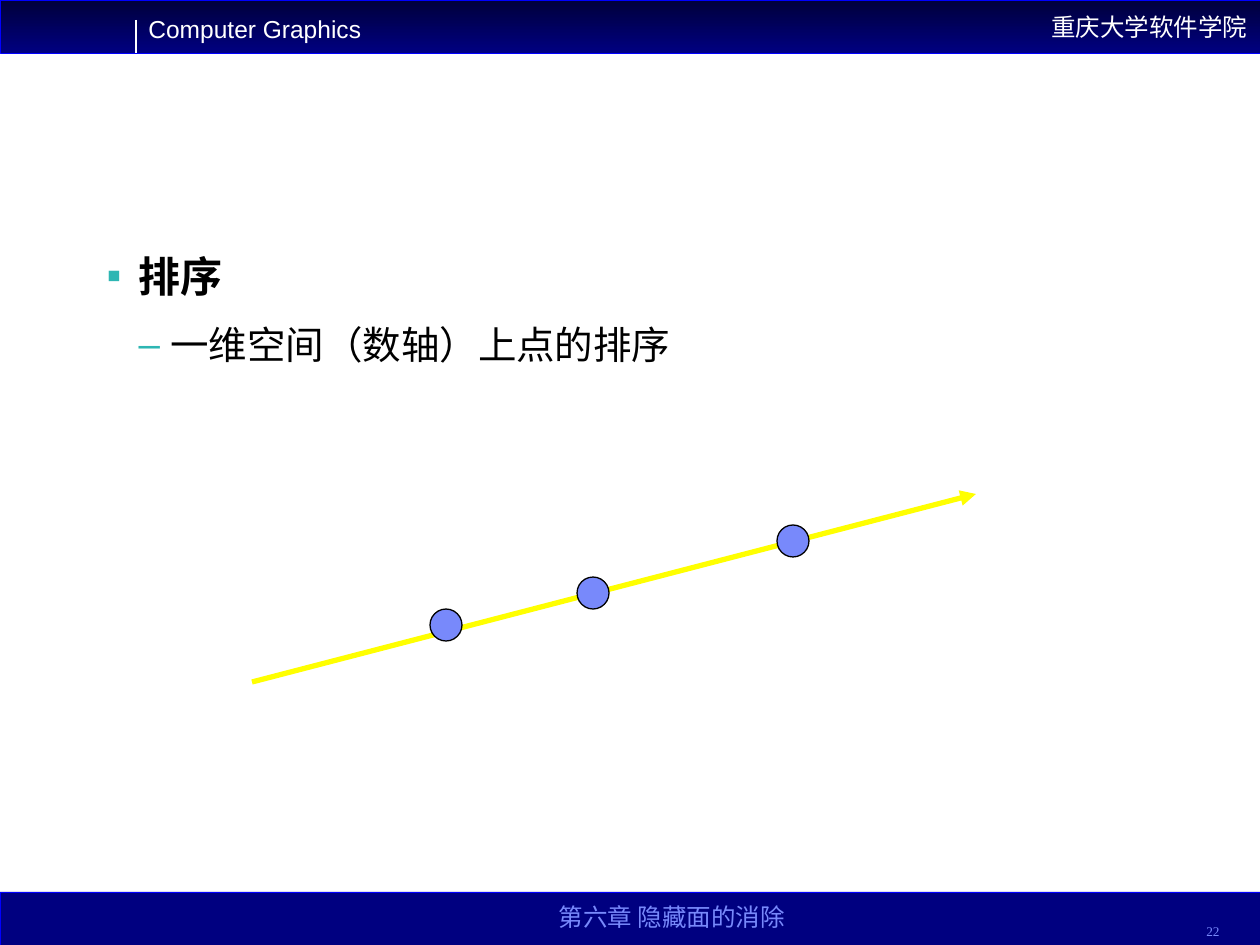
from lxml import etree
from pptx import Presentation
from pptx.dml.color import RGBColor
from pptx.enum.shapes import MSO_CONNECTOR, MSO_SHAPE
from pptx.enum.text import MSO_ANCHOR, PP_ALIGN
from pptx.oxml.ns import qn
from pptx.util import Pt

LINE = MSO_CONNECTOR.STRAIGHT
RECT, OVAL = MSO_SHAPE.RECTANGLE, MSO_SHAPE.OVAL
TOP, MIDDLE, BOTTOM = MSO_ANCHOR.TOP, MSO_ANCHOR.MIDDLE, MSO_ANCHOR.BOTTOM
LEFT, CENTER, RIGHT = PP_ALIGN.LEFT, PP_ALIGN.CENTER, PP_ALIGN.RIGHT

WHITE = RGBColor(0xFF, 0xFF, 0xFF)
BLACK = RGBColor(0, 0, 0)
DARK = RGBColor(0, 0, 0x3B)
NAVY = RGBColor(0, 0, 0x80)
BLUE = RGBColor(0, 0, 0xFF)
PERI = RGBColor(0x78, 0x89, 0xFB)
TEAL = RGBColor(0x2D, 0xB6, 0xB3)
YELLOW = RGBColor(0xFF, 0xFF, 0)

WIDE, HIGH, BAR, DOT = 1260, 945, 53, 32
SCALE = 914400 / 126

LABELS = [
    ("Computer Graphics", (136, 8, 238, 43), "Arial", 14, WHITE, LEFT, TOP),
    ("第六章 隐藏面的消除", (472, 890, 400, 48), "Times New Roman", 14, PERI, CENTER, BOTTOM),
    ("22", (1106, 897, 126, 48), "Times New Roman", 7.6, PERI, RIGHT, BOTTOM),
]
SCHOOL = "重庆大学软件学院"
POINTS = [
    ("排序", "▪", 24, True, 0, 4.5),
    ("一维空间（数轴）上点的排序", "–", 22, False, 6.9, 4.1),
]
BODY = (94, 244, 1071, 538)
INDENT = 32
AXIS = (252, 682, 976, 494)
DOTS = [(446, 625), (593, 593), (793, 541)]


def px(*nums):
    return [round(n * SCALE) for n in nums]


def add_shape(kind, box, fill, edge, width):
    shape = slide.shapes.add_shape(kind, *px(*box))
    shape.shadow.inherit = False
    shape.fill.solid()
    shape.fill.fore_color.rgb = fill
    shape.line.color.rgb = edge
    shape.line.width = Pt(width)
    return shape


def add_line(ends, color, width):
    line = slide.shapes.add_connector(LINE, *px(*ends))
    line.line.color.rgb = color
    line.line.width = Pt(width)
    etree.SubElement(line._element.spPr, qn("a:effectLst"))
    return line


def style(font, name, size, color, bold=False):
    font.name, font.size, font.bold = name, Pt(size), bold
    font.color.rgb = color


def put_text(shape, text, name, size, color, align, anchor):
    frame = shape.text_frame
    frame.text = text
    frame.word_wrap = True
    frame.vertical_anchor = anchor
    para = frame.paragraphs[0]
    para.alignment = align
    style(para.runs[0].font, name, size, color)


def add_bullet(para, mark, level):
    props = para._p.get_or_add_pPr()
    step, = px(INDENT)
    props.set("marL", str(step * (level + 1)))
    props.set("indent", str(-step))
    tint = etree.SubElement(props, qn("a:buClr"))
    etree.SubElement(tint, qn("a:srgbClr")).set("val", str(TEAL))
    etree.SubElement(props, qn("a:buFont")).set("typeface", "Arial")
    etree.SubElement(props, qn("a:buChar")).set("char", mark)


deck = Presentation()
deck.slide_width, deck.slide_height = px(WIDE, HIGH)
slide = deck.slides.add_slide(deck.slide_layouts[1])
title, body = slide.placeholders
title._element.getparent().remove(title._element)

head = add_shape(RECT, (0, 0, WIDE, BAR), NAVY, BLUE, 0.25)
head.fill.gradient()
head.fill.gradient_angle = 270
for stop, color, spot in zip(head.fill.gradient_stops, (DARK, NAVY), (0, 1)):
    stop.color.rgb, stop.position = color, spot
put_text(head, SCHOOL, "Arial", 14, WHITE, RIGHT, MIDDLE)
add_shape(RECT, (0, HIGH - BAR, WIDE, BAR), NAVY, BLUE, 0.25)
add_line((136, 20, 136, BAR), WHITE, 0.75)
for text, box, *look in LABELS:
    put_text(slide.shapes.add_textbox(*px(*box)), text, *look)

body.left, body.top, body.width, body.height = px(*BODY)
frame = body.text_frame
frame.text = "\n".join(point[0] for point in POINTS)
frame.vertical_anchor = TOP
for level, (para, point) in enumerate(zip(frame.paragraphs, POINTS)):
    text, mark, size, bold, before, after = point
    para.level = level
    para.space_before, para.space_after = Pt(before), Pt(after)
    add_bullet(para, mark, level)
    style(para.runs[0].font, "Arial", size, BLACK, bold)

axis = add_line(AXIS, YELLOW, 3)
etree.SubElement(axis.line._get_or_add_ln(), qn("a:tailEnd")).set("type", "triangle")
for x, y in DOTS:
    add_shape(OVAL, (x - DOT // 2, y - DOT // 2, DOT, DOT), PERI, BLACK, 0.75)

deck.save("out.pptx")
